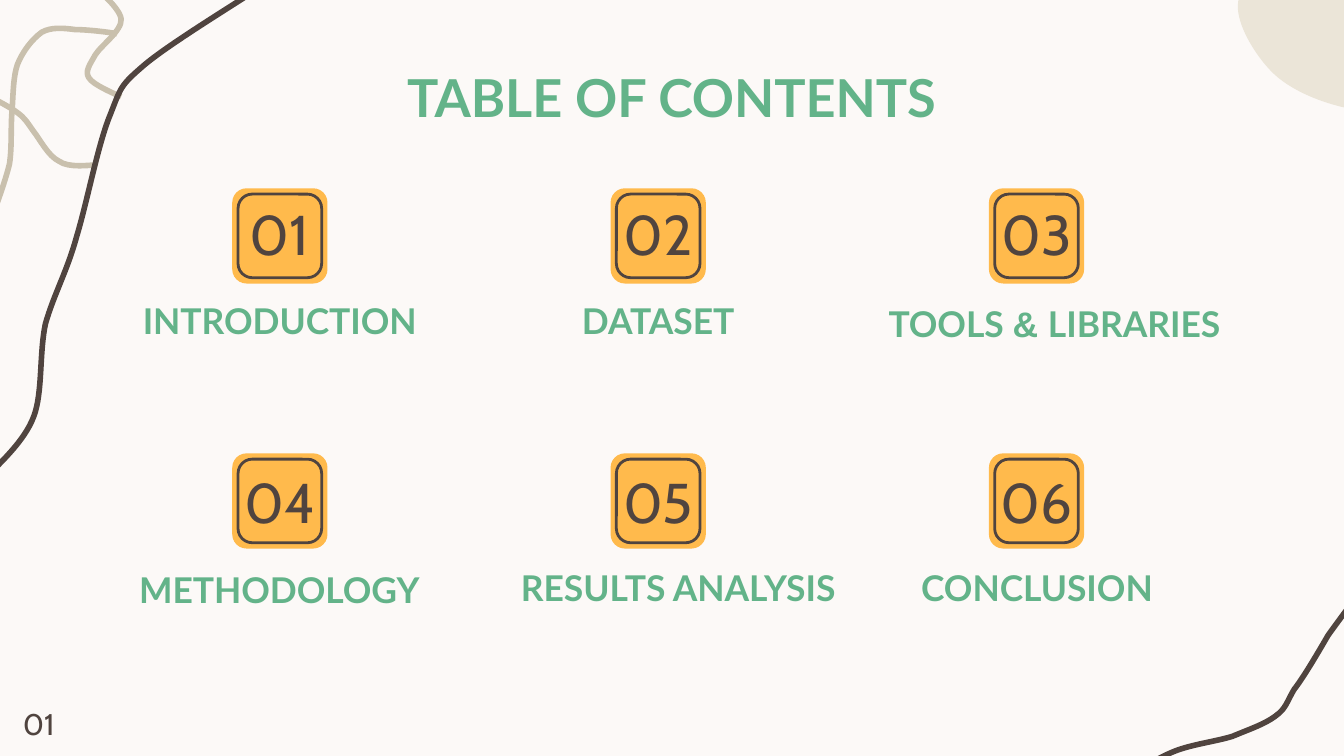
from dataclasses import dataclass

import pptx
import pptx.dml.color
import pptx.enum.shapes
import pptx.enum.text
import pptx.oxml.ns
import pptx.util
from pptx.util import Cm

COLORS = {
    "background": "FCF9F7",
    "sand": "C9C0AD",
    "blob": "EBE5D8",
    "brown": "50443F",
    "orange": "FFBA4C",
    "green": "63B389",
}
ANCHOR = pptx.enum.text.MSO_ANCHOR
ROUNDED = pptx.enum.shapes.MSO_SHAPE.ROUNDED_RECTANGLE
COLUMNS = 3
BADGE_LEFT, BADGE_TOP, BADGE_SIZE = 4.39, 3.56, 1.8
COLUMN_STEP, ROW_STEP = 7.15, 5.01
FRAME_INSET = 0.11
NUMBER_TOP, NUMBER_WIDTH, NUMBER_ROW_STEP = 3.68, 2.29, 5.06
ENTRY_HEIGHT = 1.47


@dataclass
class Curve:
    """A chain of cubic Bezier segments: a start, then three points each, in cm."""
    points: list
    line: str = ""
    fill: str = ""
    rotation: float = 0


@dataclass
class TextStyle:
    size: float
    font: str
    color: str
    bold: bool = False
    anchor: ANCHOR = ANCHOR.MIDDLE


@dataclass
class Entry:
    label: str
    left: float
    top: float
    width: float


TITLE = TextStyle(28, "Lato", "green", bold=True)
LABEL = TextStyle(19, "Lato", "green", bold=True, anchor=ANCHOR.BOTTOM)
NUMBER = TextStyle(30, "Cabin", "brown")
PAGE_NUMBER = TextStyle(16, "Cabin", "brown")

CURVES = [
    Curve([(1.8, 3.12), (1.7, 3.12), (1.3, 3.18), (1.12, 3.05),
           (0.91, 2.95), (0.76, 2.64), (0.64, 2.49),
           (0.51, 2.31), (0.48, 2.24), (0.33, 2.13),
           (0.2, 2.03), (-0.1, 1.88), (-0.18, 1.83)], line="sand"),
    Curve([(1.7, -0.33), (1.8, -0.23), (2.26, 0.13), (2.29, 0.36),
           (2.31, 0.58), (1.91, 0.86), (1.8, 1.04),
           (1.7, 1.22), (1.6, 1.35), (1.68, 1.47),
           (1.75, 1.6), (2.18, 1.78), (2.29, 1.83)], line="sand"),
    Curve([(-0.13, 4.06), (-0.08, 3.91), (0.1, 3.43), (0.18, 3.1),
           (0.23, 2.77), (0.2, 2.39), (0.23, 2.08),
           (0.25, 1.78), (0.25, 1.45), (0.33, 1.22),
           (0.43, 0.97), (0.61, 0.74), (0.79, 0.61),
           (0.97, 0.51), (1.19, 0.53), (1.42, 0.56),
           (1.65, 0.56), (2.08, 0.61), (2.21, 0.64)], line="sand"),
    Curve([(-0.2, 8.97), (-0.05, 8.79), (0.46, 8.36), (0.64, 7.87),
           (0.81, 7.42), (0.74, 6.68), (0.86, 6.12),
           (1.02, 5.56), (1.27, 5.13), (1.45, 4.47),
           (1.65, 3.81), (1.85, 2.74), (2.08, 2.18),
           (2.29, 1.65), (2.26, 1.63), (2.74, 1.22),
           (3.23, 0.81), (4.52, 0.03), (4.98, -0.28),
           (5.46, -0.61), (5.49, -0.64), (5.59, -0.69)], line="brown"),
    Curve([(26.35, -1.83), (28.09, -1.74), (28.49, -0.3), (27.86, 0.98),
           (27.5, 1.7), (26.23, 2.43), (25.34, 2.43),
           (24.89, 2.43), (24.01, 2.19), (23.85, 1.78),
           (23.6, 1.15), (24.29, 0.91), (24.49, 0.36),
           (24.88, -0.69), (24.89, -1.82), (26.22, -1.82)],
          fill="blob", rotation=41.6),
    Curve([(25.63, 11.28), (25.55, 11.4), (25.3, 11.73), (25.1, 12.01),
           (24.92, 12.32), (24.64, 12.8), (24.46, 13.03),
           (24.31, 13.28), (24.31, 13.39), (24.1, 13.54),
           (23.9, 13.69), (23.6, 13.79), (23.29, 13.92),
           (22.96, 14.02), (22.53, 14.07), (22.2, 14.2),
           (21.87, 14.33), (21.49, 14.58), (21.34, 14.66)], line="brown"),
]

ENTRIES = [
    Entry("INTRODUCTION", 2.09, 5.23, 6.4),
    Entry("DATASET", 9.24, 5.23, 6.4),
    Entry("TOOLS & LIBRARIES", 15.88, 5.3, 8.1),
    Entry("METHODOLOGY", 1.7, 10.32, 7.16),
    Entry("RESULTS ANALYSIS", 9.24, 10.29, 7.16),
    Entry("CONCLUSION", 16.4, 10.29, 6.4),
]


def rgb(name: str) -> pptx.dml.color.RGBColor:
    return pptx.dml.color.RGBColor.from_string(COLORS[name])


def paint(shape, fill: str = "", line: str = "", width: float = 3) -> None:
    """Fill and outline a shape; an empty colour name means none."""
    shape.shadow.inherit = False
    for target, color in ((shape.fill, fill), (shape.line.fill, line)):
        if color:
            target.solid()
            target.fore_color.rgb = rgb(color)
        else:
            target.background()
    if line:
        shape.line.width = pptx.util.Pt(width)


def add_curve(page, curve: Curve) -> None:
    """Build a freeform, then join each three line points into a cubic segment."""
    start, *others = [(Cm(x), Cm(y)) for x, y in curve.points]
    builder = page.shapes.build_freeform(*start)
    builder.add_line_segments(others, close=bool(curve.fill))
    shape = builder.convert_to_shape()
    segments = list(shape._element.iter(pptx.oxml.ns.qn("a:lnTo")))
    for first in range(0, len(segments), 3):
        cubic, *controls = segments[first:first + 3]
        cubic.tag = pptx.oxml.ns.qn("a:cubicBezTo")
        for control in controls:
            cubic.append(control[0])
            control.getparent().remove(control)
    shape.rotation = curve.rotation
    paint(shape, curve.fill, curve.line)


def add_text(page, text: str, left: float, top: float, width: float,
             height: float, style: TextStyle) -> None:
    """Add centred text; an ampersand is set in Arial."""
    box = page.shapes.add_textbox(Cm(left), Cm(top), Cm(width), Cm(height))
    frame = box.text_frame
    frame.word_wrap = True
    frame.vertical_anchor = style.anchor
    frame.margin_left = frame.margin_right = Cm(0.25)
    frame.margin_top = frame.margin_bottom = Cm(0.25)
    para = frame.paragraphs[0]
    para.alignment = pptx.enum.text.PP_ALIGN.CENTER
    for part in filter(None, text.partition("& ")):
        span = para.add_run()
        span.text = part
        span.font.name = "Arial" if part == "& " else style.font
        span.font.size = pptx.util.Pt(style.size)
        span.font.bold = style.bold
        span.font.color.rgb = rgb(style.color)


def add_rounded_square(page, left: float, top: float, size: float,
                       corner: float, **colors) -> None:
    square = page.shapes.add_shape(ROUNDED, Cm(left), Cm(top), Cm(size), Cm(size))
    square.adjustments[0] = corner
    paint(square, **colors)


def add_entry(page, index: int, entry: Entry) -> None:
    row, column = divmod(index, COLUMNS)
    left = BADGE_LEFT + column * COLUMN_STEP
    top = BADGE_TOP + row * ROW_STEP
    add_rounded_square(page, left, top, BADGE_SIZE, 0.15, fill="orange")
    add_rounded_square(page, left + FRAME_INSET, top + FRAME_INSET,
                       BADGE_SIZE - 2 * FRAME_INSET, 0.17, line="brown", width=1.5)
    add_text(page, f"{index + 1:02}", left + (BADGE_SIZE - NUMBER_WIDTH) / 2,
             NUMBER_TOP + row * NUMBER_ROW_STEP, NUMBER_WIDTH, ENTRY_HEIGHT, NUMBER)
    add_text(page, entry.label, entry.left, entry.top, entry.width, ENTRY_HEIGHT, LABEL)


def main() -> None:
    deck = pptx.Presentation()
    deck.slide_width, deck.slide_height = Cm(25.4), Cm(14.29)
    page = deck.slides.add_slide(deck.slide_layouts[6])
    page.background.fill.solid()
    page.background.fill.fore_color.rgb = rgb("background")
    for curve in CURVES:
        add_curve(page, curve)
    add_text(page, "TABLE OF CONTENTS", 2.1, 1.02, 21.18, 1.6, TITLE)
    for index, entry in enumerate(ENTRIES):
        add_entry(page, index, entry)
    add_text(page, "01", -0.23, 13.16, 1.93, 1.02, PAGE_NUMBER)
    deck.save("out.pptx")


if __name__ == "__main__":
    main()
